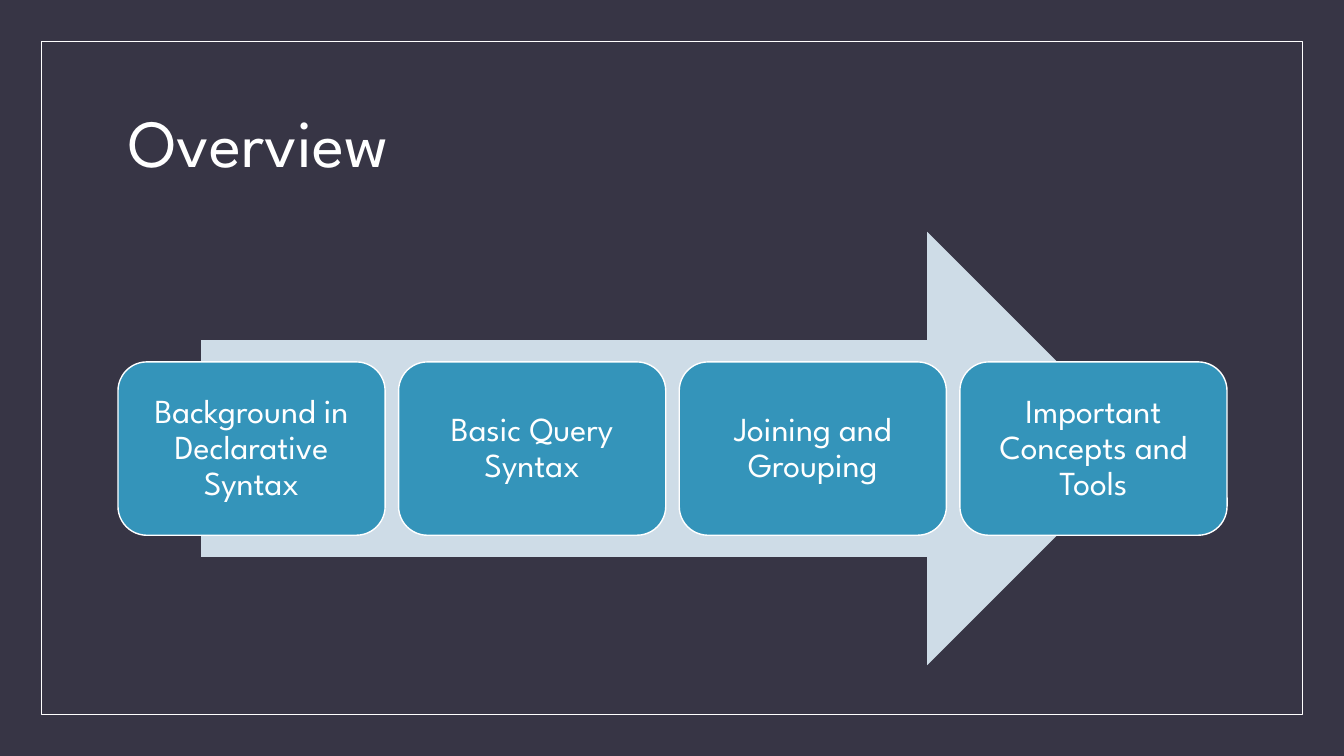
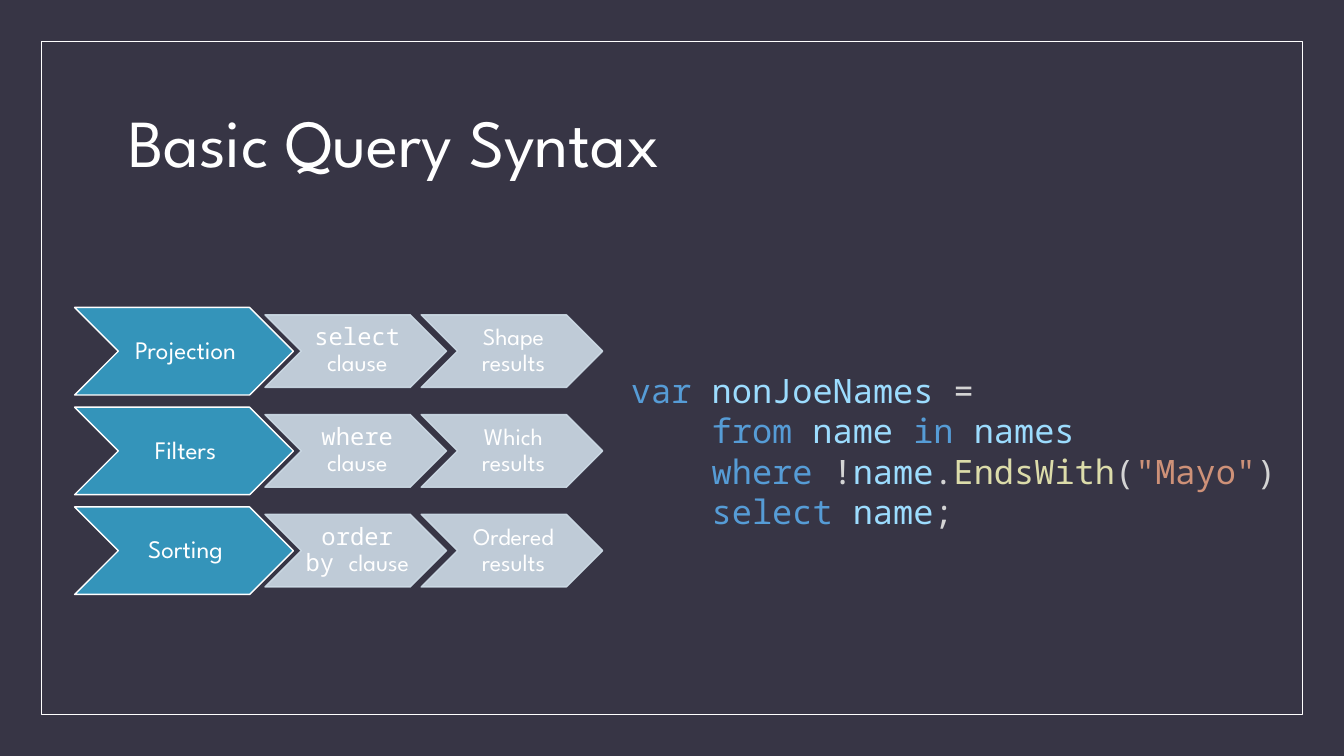
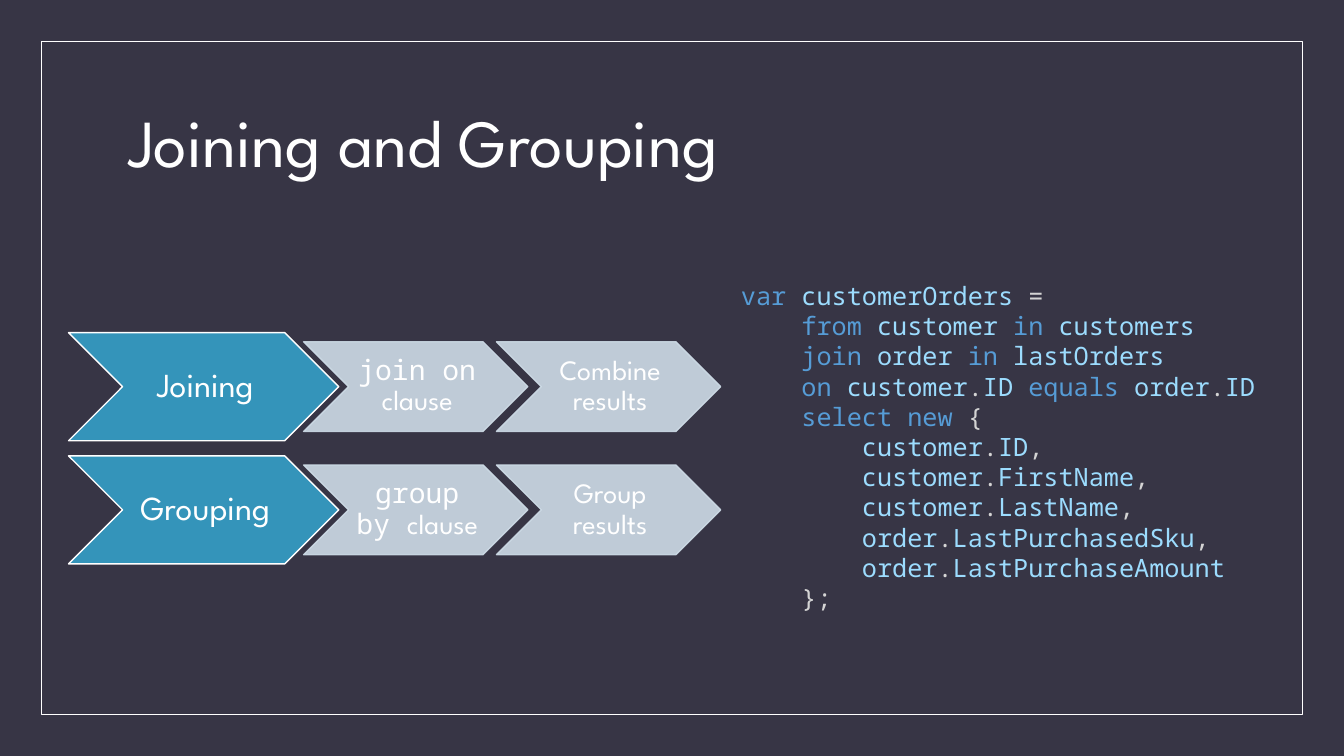
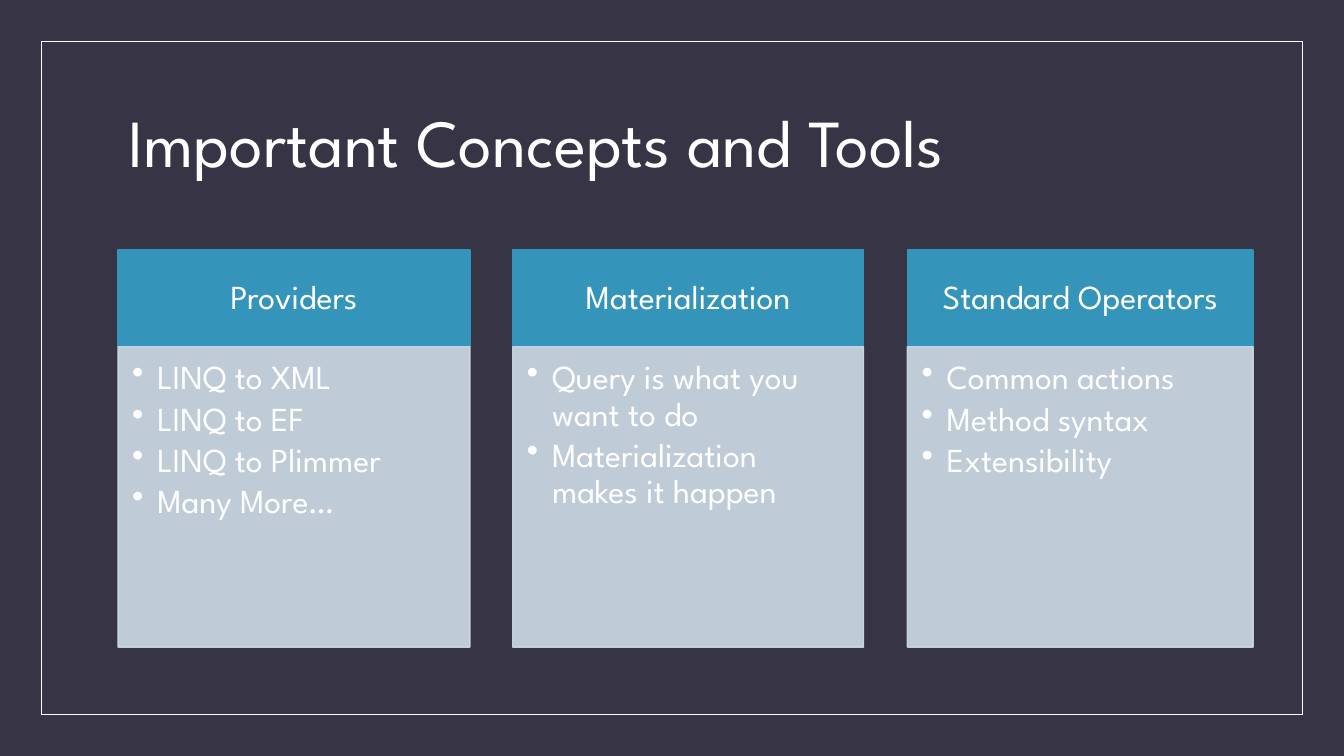
from itertools import groupby
from lxml import etree
from pptx import Presentation, util as u
from pptx.dml.color import RGBColor
from pptx.enum import shapes, text
from pptx.oxml.ns import qn

# Shared look
HUES = {"back": "373545", "white": "FFFFFF", "blue": "3494BA", "pale": "CEDCE7",
        "key": "569CD6", "name": "9CDCFE", "mark": "D4D4D4",
        "call": "DCDCAA", "quote": "CE9178"}
SANS, MONO = "League Spartan", "Noto Sans Mono"
WIDE, HIGH, EDGE = 13.33, 7.5, 0.41
LEFT, SPAN = 1.17, 11
KIND = shapes.MSO_SHAPE
MID, TOP = text.MSO_ANCHOR.MIDDLE, text.MSO_ANCHOR.TOP
CENTER, START = text.PP_ALIGN.CENTER, text.PP_ALIGN.LEFT

# Content
STEPS = ["Background in Declarative Syntax", "Basic Query Syntax",
         "Joining and Grouping", "Important Concepts and Tools"]

QUERY = {
    "title": STEPS[1], "at": (0.74, 3.05), "wide": 2.17, "sizes": (18, 17),
    "rows": [("Projection", "select", "Shape results"),
             ("Filters", "where", "Which results"),
             ("Sorting", "order by", "Ordered results")],
    "box": (6.16, 3.62, 6.75, 1.72), "size": 24,
    "code": """var nonJoeNames =
    from name in names
    where !name.EndsWith("Mayo")
    select name;"""}

JOIN = {
    "title": STEPS[2], "at": (0.68, 3.3), "wide": 2.68, "sizes": (24, 20),
    "rows": [("Joining", "join on", "Combine results"),
             ("Grouping", "group by", "Group results")],
    "box": (7.25, 2.73, 5.41, 3.43), "size": 18,
    "code": """var customerOrders =
    from customer in customers
    join order in lastOrders
    on customer.ID equals order.ID
    select new {
        customer.ID,
        customer.FirstName,
        customer.LastName,
        order.LastPurchasedSku,
        order.LastPurchaseAmount
    };"""}

TOOLS = [
    ("Providers", 3.49,
     ["LINQ to XML", "LINQ to EF", "LINQ to Plimmer", "Many More…"]),
    ("Materialization", 3.48,
     ["Query is what you want to do", "Materialization makes it happen"]),
    ("Standard Operators", 3.43,
     ["Common actions", "Method syntax", "Extensibility"])]

KEYS = {"var", "from", "in", "where", "select", "join", "on", "equals", "new"}
CALLS = {"EndsWith"}


def rgb(hue):
    return RGBColor.from_string(HUES[hue])


def place(*box):
    return [u.Inches(v) for v in box]


def write(para, words, size, hue="white", font=SANS):
    run = para.add_run()
    run.text = words
    run.font.size, run.font.name = u.Pt(size), font
    run.font.color.rgb = rgb(hue)


def pad(frame, left, top, right, bottom):
    (frame.margin_left, frame.margin_top,
     frame.margin_right, frame.margin_bottom) = place(left, top, right, bottom)


def shape(slide, kind, box, fill=None, line=None, weight=1, alpha=None):
    item = slide.shapes.add_shape(kind, *place(*box))
    item.shadow.inherit = False
    if fill:
        item.fill.solid()
        item.fill.fore_color.rgb = rgb(fill)
    else:
        item.fill.background()
    if line:
        item.line.color.rgb = rgb(line)
        item.line.width = u.Pt(weight)
    else:
        item.line.fill.background()
    if alpha:
        for tint in item.element.spPr.iter(qn("a:srgbClr")):
            etree.SubElement(tint, qn("a:alpha"), val=str(alpha * 1000))
    return item


def label(item, runs, size, inset, align=CENTER, anchor=MID):
    """Write one paragraph of (words, font) runs inside a shape."""
    frame = item.text_frame
    frame.word_wrap, frame.vertical_anchor = True, anchor
    pad(frame, *inset)
    para = frame.paragraphs[0]
    para.alignment, para.line_spacing = align, 0.9
    for words, font in runs:
        write(para, words, size, font=font)


def bullets(item, lines, size):
    frame = item.text_frame
    frame.word_wrap, frame.vertical_anchor = True, TOP
    pad(frame, 0.14, 0.14, 0.19, 0.21)
    for i, words in enumerate(lines):
        para = frame.add_paragraph() if i else frame.paragraphs[0]
        para.alignment, para.line_spacing = START, 0.9
        para.space_after = u.Pt(3.5)
        props = para._p.get_or_add_pPr()
        props.set("marL", str(u.Inches(0.25)))
        props.set("indent", str(u.Inches(-0.25)))
        etree.SubElement(props, qn("a:buChar"), char="•")
        write(para, words, size)


def tokens(line):
    """Split a line of code into (words, hue) runs."""
    for i, part in enumerate(line.split('"')):
        if i % 2:
            yield f'"{part}"', "quote"
            continue
        for word, chars in groupby(part, str.isalnum):
            bit = "".join(chars)
            hue = ("mark" if not word else "key" if bit in KEYS
                   else "call" if bit in CALLS else "name")
            yield bit, hue


def listing(slide, box, code, size):
    frame = slide.shapes.add_textbox(*place(*box)).text_frame
    frame.word_wrap = True
    frame.auto_size = text.MSO_AUTO_SIZE.SHAPE_TO_FIT_TEXT
    for i, line in enumerate(code.split("\n")):
        para = frame.add_paragraph() if i else frame.paragraphs[0]
        bare = line.lstrip()
        # one letter of the fixed-width font is 0.6 em
        deep = u.Pt((len(line) - len(bare)) * 0.6 * size)
        para._p.get_or_add_pPr().set("marL", str(deep))
        for words, hue in tokens(bare):
            write(para, words, size, hue, MONO)


def start(deck, title):
    slide = deck.slides.add_slide(deck.slide_layouts[5])
    frame = slide.shapes.title.text_frame
    frame.vertical_anchor = MID
    para = frame.paragraphs[0]
    para.alignment, para.line_spacing = START, 0.9
    write(para, title, 48)
    return slide


def overview(deck):
    slide = start(deck, "Overview")
    shape(slide, KIND.RIGHT_ARROW,
          (LEFT + 0.075 * SPAN, 2.3, 0.85 * SPAN, 4.3), "pale")
    wide, high = 2.65, 1.72
    step = (SPAN - wide) / (len(STEPS) - 1)
    for i, words in enumerate(STEPS):
        box = (LEFT + i * step, 3.59, wide, high)
        card = shape(slide, KIND.ROUNDED_RECTANGLE, box, "blue", "white")
        label(card, [(words, SANS)], 24, (0.1,) * 4)


def clauses(deck, data):
    slide = start(deck, data["title"])
    left, top = data["at"]
    wide = data["wide"]
    high, small = 0.4 * wide, 0.83 * wide
    low = 0.4 * small
    big, fine = data["sizes"]
    inset = (0.03, 0.01, 0, 0.01)
    for i, (head, word, gain) in enumerate(data["rows"]):
        y = top + i * 1.14 * high
        lead = shape(slide, KIND.CHEVRON, (left, y, wide, high), "blue", "white")
        label(lead, [(head, SANS)], big, inset)
        cells = [[(word + " ", MONO), ("clause", SANS)], [(gain, SANS)]]
        for j, runs in enumerate(cells):
            x = left + 0.87 * wide + j * 0.86 * small
            box = (x, y + (high - low) / 2, small, low)
            cell = shape(slide, KIND.CHEVRON, box, "pale", "pale", alpha=90)
            label(cell, runs, fine, inset)
    listing(slide, data["box"], data["code"], data["size"])


def tools(deck):
    slide = start(deck, STEPS[3])
    top, high, deep, step = 2.48, 0.96, 2.98, 3.915
    for i, (head, wide, lines) in enumerate(TOOLS):
        x = LEFT + i * step
        band = shape(slide, KIND.RECTANGLE, (x, top, wide, high), "blue", "blue")
        label(band, [(head, SANS)], 24, (0.19, 0.11, 0.19, 0.11))
        body = shape(slide, KIND.RECTANGLE, (x, top + high, wide, deep),
                     "pale", "pale", alpha=90)
        bullets(body, lines, 24)


def main():
    deck = Presentation()
    deck.slide_width, deck.slide_height = place(WIDE, HIGH)

    # Background and title place for every slide
    fill = deck.slide_master.background.fill
    fill.solid()
    fill.fore_color.rgb = rgb("back")
    layout = deck.slide_layouts[5]
    title = layout.placeholders[0]
    title.left, title.top, title.width, title.height = place(LEFT, 0.7, SPAN, 1.5)

    overview(deck)
    clauses(deck, QUERY)
    clauses(deck, JOIN)
    tools(deck)

    # The frame belongs to the layout
    box = (EDGE, EDGE, WIDE - 2 * EDGE, HIGH - 2 * EDGE)
    frame = shape(deck.slides[0], KIND.RECTANGLE, box, line="white", weight=0.5)
    layout.shapes.element.insert(2, frame.element)

    deck.save("out.pptx")


if __name__ == "__main__":
    main()
